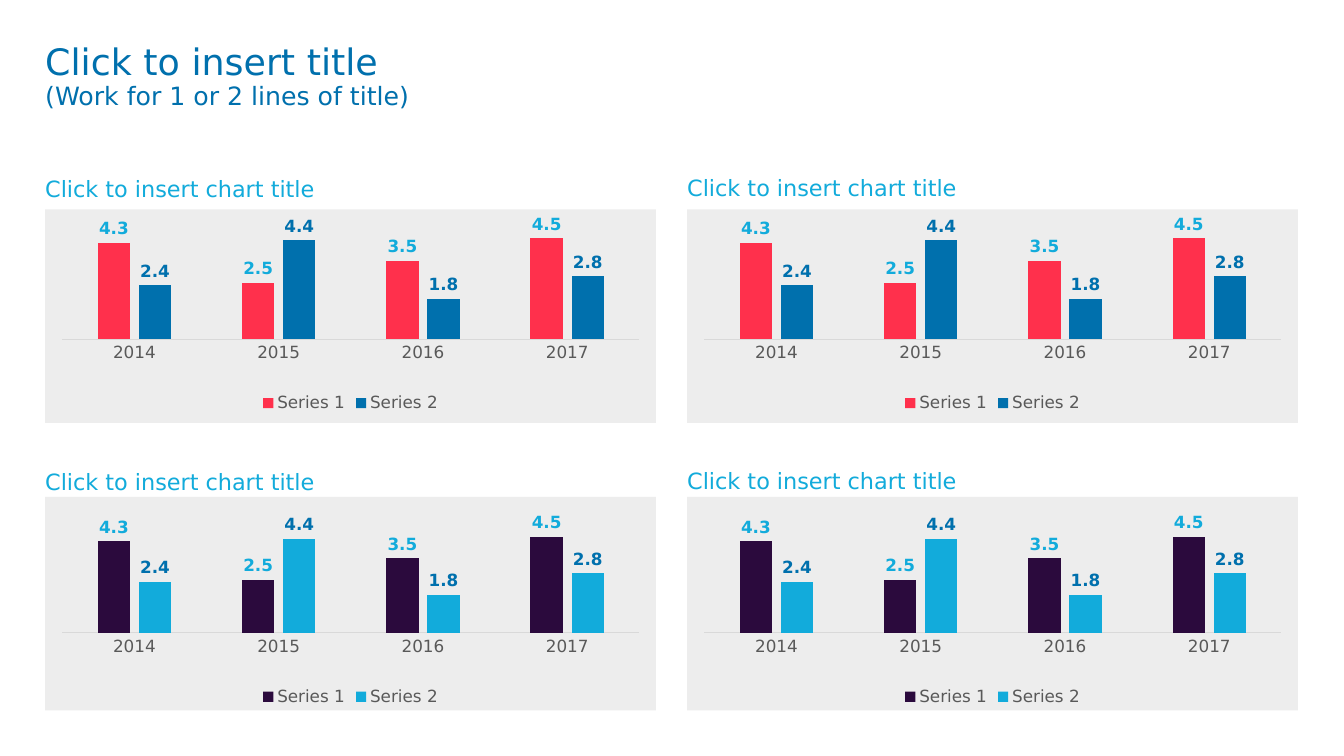
import lxml.etree
import pptx
import pptx.chart.data
import pptx.dml.color
import pptx.enum.chart
import pptx.enum.shapes
import pptx.enum.text
import pptx.oxml.ns
import pptx.util

Cm = pptx.util.Cm
Pt = pptx.util.Pt

FONT = "DejaVu Sans"
COLOURS = {
    "blue": "0070AD",
    "sky": "12ABDB",
    "red": "FF304C",
    "purple": "2B0A3D",
    "panel": "EDEDED",
    "axis": "D9D9D9",
    "grey": "595959",
    "black": "000000",
}
YEARS = ["2014", "2015", "2016", "2017"]
SERIES = {"Series 1": (4.3, 2.5, 3.5, 4.5), "Series 2": (2.4, 4.4, 1.8, 2.8)}
LABEL_COLOURS = ["sky", "blue"]
COLUMNS = [{"left": 1.14, "rise": 0}, {"left": 17.32, "rise": 0.03}]
ROWS = [
    {"heading": 3.96, "panel": 5.28, "chart": 5.05, "bars": ["red", "blue"],
     "plot": {"x": 0.028, "y": 0.123, "w": 0.945, "h": 0.518}},
    {"heading": 11.33, "panel": 12.52, "chart": 12.45, "bars": ["purple", "sky"],
     "plot": {"x": 0.028, "y": 0.149, "w": 0.945, "h": 0.492}},
]
WIDTH = 15.39
FRAME = {"word_wrap": True, "auto_size": pptx.enum.text.MSO_AUTO_SIZE.NONE,
         "margin_left": 0, "margin_right": 0, "margin_top": 0, "margin_bottom": 0}


def apply(target, formats):
    for name, value in formats.items():
        setattr(target, name, value)


def colour(name):
    return pptx.dml.color.RGBColor.from_string(COLOURS[name])


def paint(fill, name):
    fill.solid()
    fill.fore_color.rgb = colour(name)


def style_font(font, size, name, bold=False):
    apply(font, {"name": FONT, "size": Pt(size), "bold": bold})
    font.color.rgb = colour(name)


def add_span(para, text, size, name):
    span = para.add_run()
    span.text = text
    style_font(span.font, size, name)


def fill_title(title):
    apply(title, {"left": Cm(1.14), "top": Cm(1.12), "width": Cm(30.61), "height": Cm(2.39)})
    apply(title.text_frame, {**FRAME, "vertical_anchor": pptx.enum.text.MSO_ANCHOR.TOP})
    para = title.text_frame.paragraphs[0]
    apply(para, {"alignment": pptx.enum.text.PP_ALIGN.LEFT, "line_spacing": 0.9})
    add_span(para, "Click to insert title", 26, "blue")
    para.add_line_break()
    add_span(para, "(Work for 1 or 2 lines of title)", 18, "blue")


def add_panel(page, left, top):
    panel = page.shapes.add_shape(pptx.enum.shapes.MSO_SHAPE.RECTANGLE,
                                  Cm(left), Cm(top), Cm(WIDTH), Cm(5.38))
    panel.shadow.inherit = False
    paint(panel.fill, "panel")
    panel.line.fill.background()


def add_heading(page, left, top):
    box = page.shapes.add_textbox(Cm(left), Cm(top), Cm(WIDTH), Cm(1.14))
    apply(box.text_frame, {**FRAME, "vertical_anchor": pptx.enum.text.MSO_ANCHOR.BOTTOM})
    para = box.text_frame.paragraphs[0]
    apply(para, {"line_spacing": Pt(18), "space_after": Pt(6)})
    add_span(para, "Click to insert chart title", 16, "sky")


def place_plot(chart, plot):
    qn = pptx.oxml.ns.qn
    area = chart._chartSpace.find(".//" + qn("c:plotArea"))
    for old in area.findall(qn("c:layout")):
        area.remove(old)
    layout = lxml.etree.Element(qn("c:layout"))
    manual = lxml.etree.SubElement(layout, qn("c:manualLayout"))
    settings = {"layoutTarget": "inner", "xMode": "edge", "yMode": "edge", **plot}
    for name, value in settings.items():
        lxml.etree.SubElement(manual, qn("c:" + name)).set("val", str(value))
    area.insert(0, layout)


def style_axes(chart):
    none = pptx.enum.chart.XL_TICK_MARK.NONE
    years = chart.category_axis
    apply(years, {"major_tick_mark": none, "minor_tick_mark": none,
                  "has_major_gridlines": False})
    style_font(years.tick_labels.font, 12, "grey")
    paint(years.format.line.fill, "axis")
    years.format.line.width = Pt(0.75)
    apply(chart.value_axis, {"visible": False, "has_major_gridlines": False,
                             "minimum_scale": 0, "maximum_scale": 5})


def style_series(series, bar, label):
    paint(series.format.fill, bar)
    series.invert_if_negative = False
    labels = series.data_labels
    apply(labels, {"show_value": True,
                   "position": pptx.enum.chart.XL_LABEL_POSITION.OUTSIDE_END})
    style_font(labels.font, 12, label, True)


def add_column_chart(page, left, top, bars, plot):
    data = pptx.chart.data.CategoryChartData()
    data.categories = YEARS
    for name, values in SERIES.items():
        data.add_series(name, values)
    chart = page.shapes.add_chart(pptx.enum.chart.XL_CHART_TYPE.COLUMN_CLUSTERED,
                                  Cm(left), Cm(top), Cm(WIDTH), Cm(5.46), data).chart
    style_font(chart.font, 10, "black")
    apply(chart, {"has_title": False, "has_legend": True})
    apply(chart.legend, {"position": pptx.enum.chart.XL_LEGEND_POSITION.BOTTOM,
                         "include_in_layout": False})
    style_font(chart.legend.font, 12, "grey")
    apply(chart.plots[0], {"gap_width": 219, "overlap": -27, "vary_by_categories": False})
    style_axes(chart)
    for series, bar, label in zip(chart.plots[0].series, bars, LABEL_COLOURS):
        style_series(series, bar, label)
    place_plot(chart, plot)


def main():
    deck = pptx.Presentation()
    apply(deck, {"slide_width": Cm(33.87), "slide_height": Cm(19.05)})
    page = deck.slides.add_slide(deck.slide_layouts.get_by_name("Title Only"))
    fill_title(page.shapes.title)
    for row in ROWS:
        for column in COLUMNS:
            left = column["left"]
            add_panel(page, left, row["panel"])
            add_column_chart(page, left, row["chart"], row["bars"], row["plot"])
            add_heading(page, left, row["heading"] - column["rise"])
    deck.save("out.pptx")


if __name__ == "__main__":
    main()
